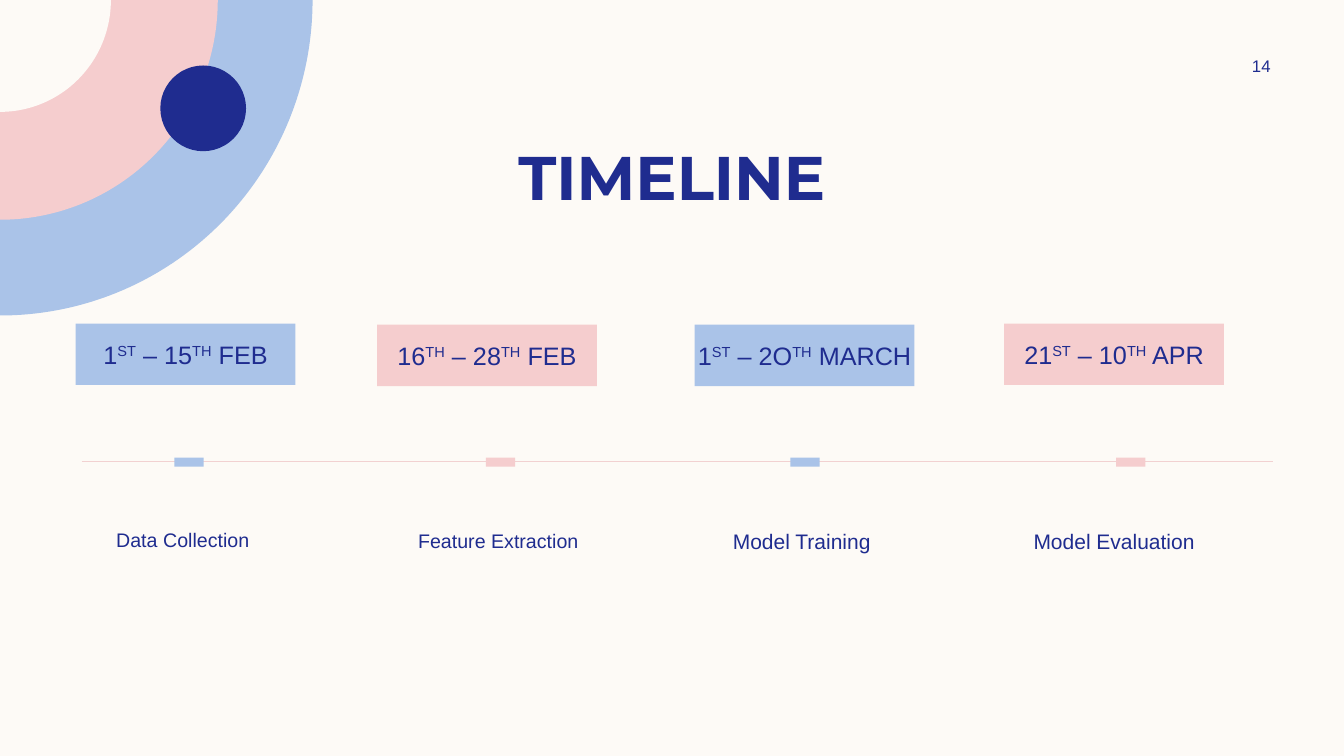
"""Build the project timeline slide."""
from lxml.etree import SubElement
from pptx import Presentation
from pptx.dml.color import RGBColor
from pptx.enum.shapes import MSO_CONNECTOR, MSO_SHAPE
from pptx.enum.text import MSO_ANCHOR, PP_ALIGN
from pptx.oxml.ns import qn
from pptx.util import Inches, Pt

COLORS = {
    "cream": "FDFAF6",
    "blue": "AAC3E8",
    "pink": "F5CDCE",
    "navy": "1F2C8F",
    "line": "F2D1D1",
}


def add_filled(shapes, kind, x, y, w, h, color):
    s = shapes.add_shape(kind, Inches(x), Inches(y), Inches(w), Inches(h))
    s.fill.solid()
    s.fill.fore_color.rgb = RGBColor.from_string(COLORS[color])
    s.line.fill.background()
    s.shadow.inherit = False
    return s


def write(s, parts, size, margin_x=0, margin_y=0, anchor=MSO_ANCHOR.TOP, font="Arial", bold=False, wrap=True):
    tf = s.text_frame
    tf.word_wrap = wrap
    tf.vertical_anchor = anchor
    tf.margin_left = tf.margin_right = Inches(margin_x)
    tf.margin_top = tf.margin_bottom = Inches(margin_y)
    p = tf.paragraphs[0]
    p.alignment = PP_ALIGN.CENTER
    for i, part in enumerate(parts):
        r = p.add_run()
        r.text = part
        r.font.name = font
        r.font.size = Pt(size)
        r.font.bold = bold
        r.font.color.rgb = RGBColor.from_string(COLORS["navy"])
        if i % 2:
            r._r.get_or_add_rPr().set("baseline", "30000")


prs = Presentation()
prs.slide_width = Inches(13.33)
prs.slide_height = Inches(7.5)
slide = prs.slides.add_slide(prs.slide_layouts[6])
slide.background.fill.solid()
slide.background.fill.fore_color.rgb = RGBColor.from_string(COLORS["cream"])
shapes = slide.shapes

for radius_x, radius_y, color in [(3.1, 3.13, "blue"), (2.16, 2.18, "pink"), (1.1, 1.11, "cream")]:
    wedge = add_filled(shapes, MSO_SHAPE.PIE_WEDGE, 0, 0, radius_x, radius_y, color)
    wedge.rotation = 180

add_filled(shapes, MSO_SHAPE.OVAL, 1.59, 0.65, 0.85, 0.85, "navy")

axis = shapes.add_connector(MSO_CONNECTOR.STRAIGHT, Inches(0.81), Inches(4.58), Inches(12.63), Inches(4.58))
axis.line.color.rgb = RGBColor.from_string(COLORS["line"])
axis.line.width = Pt(1)
SubElement(axis._element.spPr, qn("a:effectLst"))

title = shapes.add_textbox(Inches(0.83), Inches(1.33), Inches(11.67), Inches(0.84))
write(title, ["TIMELINE"], 44, 0.1, 0.05, font="Montserrat", bold=True)

number = shapes.add_textbox(Inches(11.97), Inches(0.5), Inches(1.08), Inches(0.3))
write(number, ["14"], 12, 0.1, 0.05, anchor=MSO_ANCHOR.MIDDLE)

WIDTH = 2.18
phases = [
    (["1", "ST", " – 15", "TH", " FEB"], 0.75, 3.21, "blue", 1.83, "Data Collection ", 0.75, 5.19, 0.87, 14),
    (["16", "TH", " – 28", "TH", " FEB"], 3.74, 3.22, "pink", 4.92, "Feature Extraction ", 3.88, 5.2, 1.2, 14),
    (["1", "ST", " – 2O", "TH", " MARCH"], 6.89, 3.22, "blue", 7.94, "Model Training ", 6.89, 5.19, 0.87, 15),
    (["21", "ST", " – 10", "TH", " APR"], 9.96, 3.21, "pink", 11.17, "Model Evaluation", 9.96, 5.19, 0.87, 15),
]
for dates, date_x, date_y, color, marker_x, name, name_x, name_y, name_h, size in phases:
    box = add_filled(shapes, MSO_SHAPE.RECTANGLE, date_x, date_y, WIDTH, 0.61, color)
    write(box, dates, 18, anchor=MSO_ANCHOR.MIDDLE, wrap=False)

    marker = add_filled(shapes, MSO_SHAPE.RECTANGLE, marker_x, 4.44, 0.09, 0.29, color)
    marker.rotation = 270

    label = shapes.add_textbox(Inches(name_x), Inches(name_y), Inches(WIDTH), Inches(name_h))
    write(label, [name], size, margin_y=0.05)

prs.save("out.pptx")
